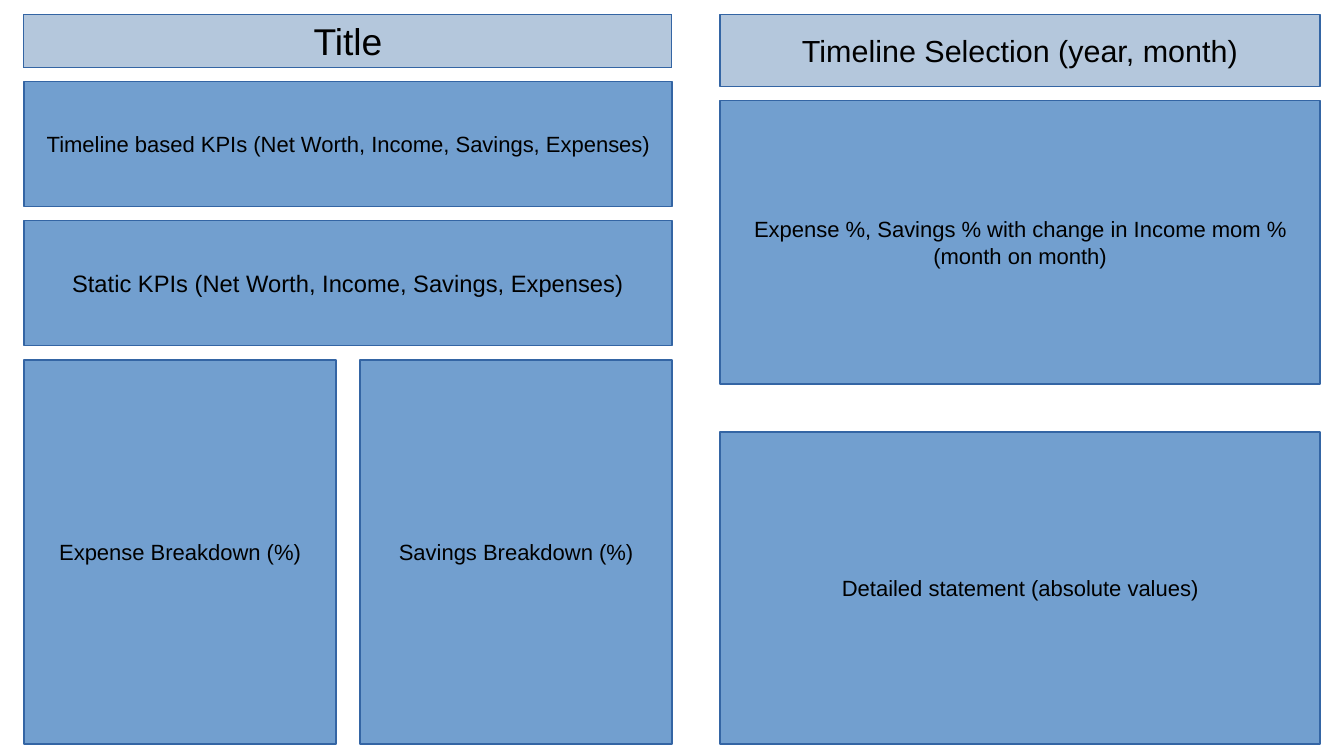
import dataclasses
import pptx
import pptx.dml.color
import pptx.enum.shapes
import pptx.enum.text
import pptx.util


@dataclasses.dataclass(frozen=True)
class Theme:
    font: str = "Arial"
    ink: str = "000000"
    edge: str = "3465A4"
    head: str = "B4C7DC"
    panel: str = "729FCF"
    title: int = 22
    filter: int = 18
    large: int = 14
    body: int = 13


class Board:
    """Places boxes on a grid of 0.5 cm columns and 0.1 cm rows."""
    col = pptx.util.Cm(0.5)
    row = pptx.util.Cm(0.1)

    def __init__(self, deck, theme):
        self.theme = theme
        self.slide = deck.slides.add_slide(deck.slide_layouts[5])

    def place(self, shape, x, y, w, h):
        shape.left, shape.width = x * self.col, w * self.col
        shape.top, shape.height = y * self.row, h * self.row

    def style(self, shape, text, fill, size):
        color = pptx.dml.color.RGBColor.from_string
        shape.fill.solid()
        shape.fill.fore_color.rgb = color(fill)
        shape.line.color.rgb = color(self.theme.edge)
        shape.line.width = pptx.util.Pt(0)
        frame = shape.text_frame
        frame.text = text
        frame.word_wrap = True
        frame.auto_size = pptx.enum.text.MSO_AUTO_SIZE.NONE
        frame.vertical_anchor = pptx.enum.text.MSO_ANCHOR.MIDDLE
        para = frame.paragraphs[0]
        para.alignment = pptx.enum.text.PP_ALIGN.CENTER
        para.font.name = self.theme.font
        para.font.size = pptx.util.Pt(size)
        para.font.color.rgb = color(self.theme.ink)

    def title(self, text, x, y, w, h):
        shape = self.slide.shapes.title
        self.place(shape, x, y, w, h)
        self.style(shape, text, self.theme.head, self.theme.title)

    def box(self, text, x, y, w, h, fill=None, size=None):
        kind = pptx.enum.shapes.MSO_SHAPE.RECTANGLE
        shape = self.slide.shapes.add_shape(kind, 0, 0, 0, 0)
        shape.shadow.inherit = False
        self.place(shape, x, y, w, h)
        self.style(shape, text, fill or self.theme.panel, size or self.theme.body)


def main():
    deck = pptx.Presentation()
    deck.slide_width = pptx.util.Cm(28)
    deck.slide_height = pptx.util.Cm(15.75)
    theme = Theme()
    board = Board(deck, theme)

    # Shared grid measures
    top, end, gap = 3, 155, 3
    left, wide = 1, 27
    right, side = 30, 25

    # Title and KPI rows
    bar, band = 11, 26
    board.title("Title", left, top, wide, bar)
    y = top + bar + gap
    for text, size in (("Timeline based KPIs", theme.body),
                       ("Static KPIs", theme.large)):
        label = f"{text} (Net Worth, Income, Savings, Expenses)"
        board.box(label, left, y, wide, band, size=size)
        y += band + gap

    # Breakdown panels
    half = 13
    for i, text in enumerate(("Expense", "Savings")):
        board.box(f"{text} Breakdown (%)", left + i * (half + 1), y, half, end - y)

    # Timeline selection, trend and statement
    pick, trend, sheet = 15, 59, 65
    board.box("Timeline Selection (year, month)", right, top, side, pick,
              theme.head, theme.filter)
    board.box("Expense %, Savings % with change in Income mom % (month on month)",
              right, top + pick + gap, side, trend)
    board.box("Detailed statement (absolute values)", right, end - sheet, side, sheet)

    deck.save("out.pptx")


if __name__ == "__main__":
    main()
